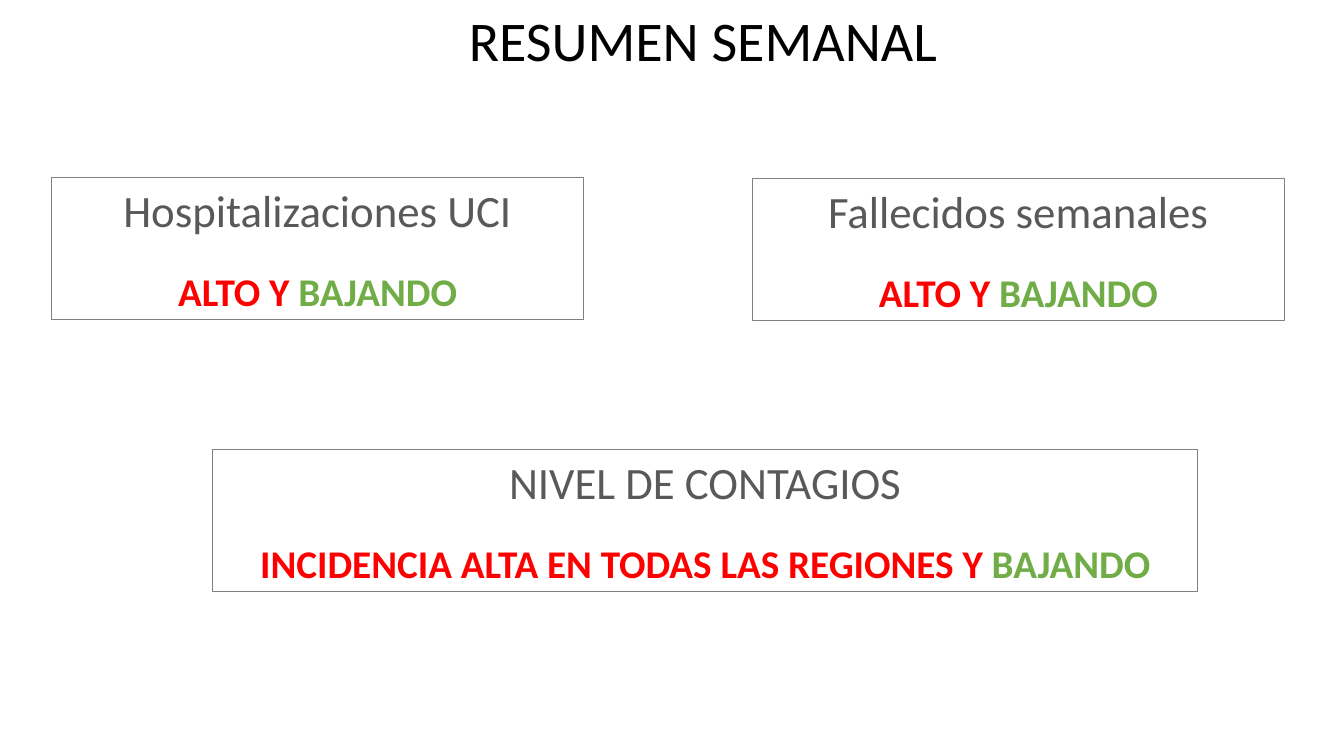
from pptx import Presentation
from pptx.dml.color import RGBColor
from pptx.enum.shapes import MSO_SHAPE
from pptx.enum.text import MSO_ANCHOR, MSO_AUTO_SIZE, PP_ALIGN
from pptx.util import Inches, Pt

RECTANGLE = MSO_SHAPE.RECTANGLE
TOP = MSO_ANCHOR.TOP
NO_FIT = MSO_AUTO_SIZE.NONE
LEFT, CENTER = PP_ALIGN.LEFT, PP_ALIGN.CENTER

FONT = "Calibri"
BLACK, GRAY, BORDER = "000000", "595959", "808080"
RED, GREEN = "FF0000", "70AD47"

TITLE = "RESUMEN SEMANAL"
BOX_HEIGHT = 1.41
INDICATORS = [
    ("Hospitalizaciones UCI", "ALTO Y ", "BAJANDO", (0.51, 1.76, 5.28)),
    ("Fallecidos semanales", "ALTO Y ", "BAJANDO", (7.46, 1.77, 5.28)),
    ("NIVEL DE CONTAGIOS", "INCIDENCIA ALTA EN TODAS LAS REGIONES Y ", "BAJANDO",
     (2.11, 4.46, 9.77)),
]


def color(value):
    return RGBColor.from_string(value)


def add_span(para, text, size, fill, bold=False):
    span = para.add_run()
    span.text = text
    span.font.name = FONT
    span.font.size = Pt(size)
    span.font.bold = bold
    span.font.color.rgb = color(fill)


def add_title(page):
    title = page.shapes.title
    title.left, title.top = Inches(4.55), Inches(0)
    title.width, title.height = Inches(4.89), Inches(0.77)
    frame = title.text_frame
    frame.word_wrap = False
    frame.auto_size = NO_FIT
    frame.vertical_anchor = TOP
    para = frame.paragraphs[0]
    para.alignment = LEFT
    add_span(para, TITLE, 40, BLACK)


def add_indicator(page, heading, level, trend, place):
    left, top, width = map(Inches, place)
    box = page.shapes.add_shape(RECTANGLE, left, top, width, Inches(BOX_HEIGHT))
    box.shadow.inherit = False
    box.fill.background()
    box.line.color.rgb = color(BORDER)
    box.line.width = Pt(0.75)
    frame = box.text_frame
    frame.word_wrap = True
    frame.vertical_anchor = TOP
    para = frame.paragraphs[0]
    para.alignment = CENTER
    add_span(para, heading, 32, GRAY)
    para = frame.add_paragraph()
    para.alignment = CENTER
    para.space_before = Pt(22)
    add_span(para, level, 28, RED, True)
    add_span(para, trend, 28, GREEN, True)


def main():
    deck = Presentation()
    deck.slide_width, deck.slide_height = Inches(13.33), Inches(7.5)
    page = deck.slides.add_slide(deck.slide_layouts.get_by_name("Title Only"))
    add_title(page)
    for indicator in INDICATORS:
        add_indicator(page, *indicator)
    deck.save("out.pptx")


if __name__ == "__main__":
    main()
